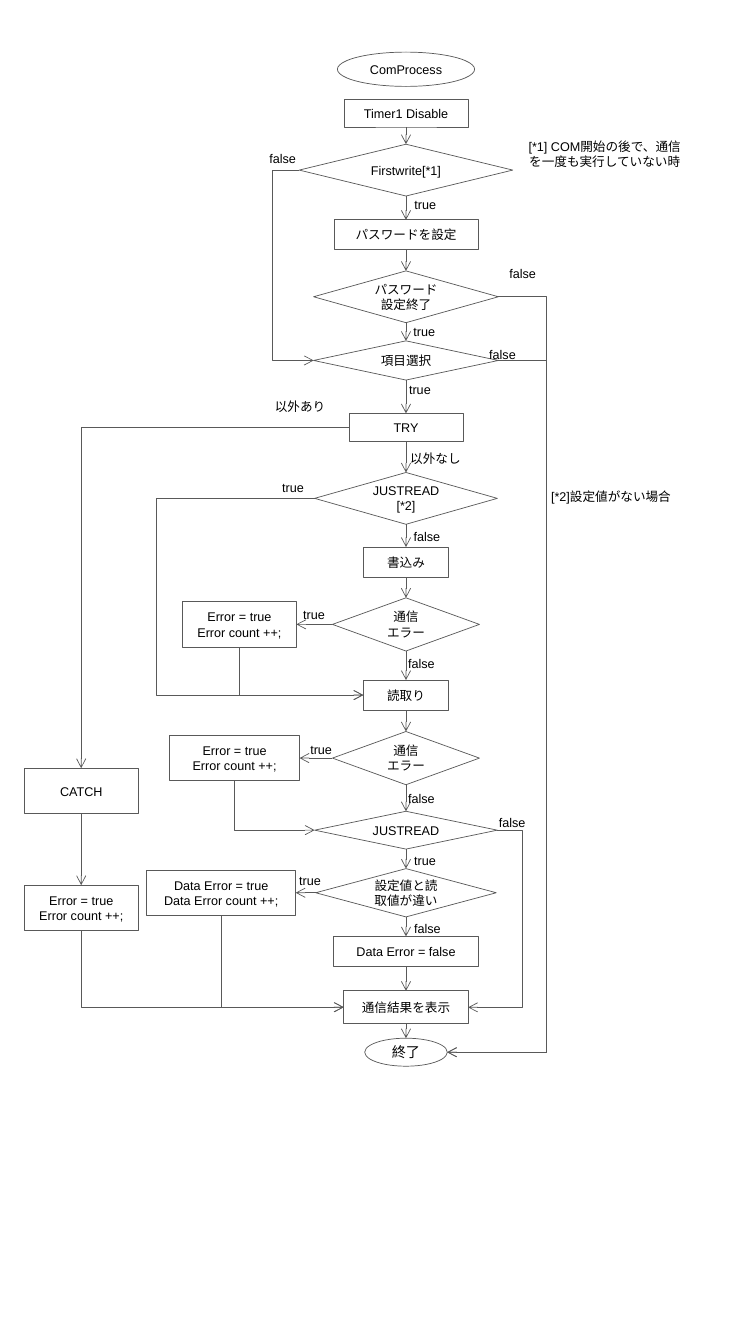
"""Builds the ComProcess flowchart slide."""
from lxml import etree
from pptx import Presentation
from pptx.dml.color import RGBColor
from pptx.enum.shapes import MSO_CONNECTOR, MSO_SHAPE
from pptx.enum.text import MSO_ANCHOR, PP_ALIGN
from pptx.oxml.ns import qn
from pptx.util import Pt

OVAL = MSO_SHAPE.OVAL
BOX = MSO_SHAPE.RECTANGLE
DECISION = MSO_SHAPE.FLOWCHART_DECISION
STRAIGHT = MSO_CONNECTOR.STRAIGHT
ELBOW = MSO_CONNECTOR.ELBOW
CENTER = PP_ALIGN.CENTER
MIDDLE = MSO_ANCHOR.MIDDLE
TOP, LEFT, BOTTOM, RIGHT = range(4)
OVAL_RIGHT = 6

GRAY = RGBColor(0x59, 0x59, 0x59)
BLACK = RGBColor(0, 0, 0)
MAIN_X = 290
CATCH_X = 58
LABEL_HEIGHT = 18
COUNT_ERROR = "Error = true\nError count ++;"

# name: text, outline, middle y, width, height
MAIN_STEPS = {
    "start": ("ComProcess", OVAL, 49.5, 98, 24.5),
    "timer": ("Timer1 Disable", BOX, 81, 88.5, 19.5),
    "first write": ("Firstwrite[*1]", DECISION, 121.5, 152.5, 37),
    "set password": ("パスワードを設定", BOX, 167.8, 103, 21.5),
    "password set": ("パスワード設定終了", DECISION, 212, 132, 37),
    "select item": ("項目選択", DECISION, 257.5, 132, 28),
    "try": ("TRY", BOX, 305.3, 81.5, 20),
    "just read": ("JUSTREAD [*2]", DECISION, 356, 130.5, 37),
    "write": ("書込み", BOX, 401.5, 61, 21.5),
    "write error": ("通信\vエラー", DECISION, 446, 105, 38),
    "read": ("読取り", BOX, 496.5, 61, 21.5),
    "read error": ("通信\vエラー", DECISION, 541.5, 105, 38),
    "only read": ("JUSTREAD", DECISION, 593, 130.5, 27),
    "mismatch": ("設定値と読取値が違い", DECISION, 637.7, 129, 34.5),
    "no data error": ("Data Error = false", BOX, 679.6, 104, 21.5),
    "show result": ("通信結果を表示", BOX, 719.5, 89, 23.5),
    "end": ("終了", OVAL, 751.6, 59, 20),
}
# name: text, centre x, middle y, width
SIDE_STEPS = {
    "count write error": (COUNT_ERROR, 171, 446, 81.5),
    "count read error": (COUNT_ERROR, 167.5, 541.5, 93),
    "count data error": ("Data Error = true\nData Error count ++;", 158, 637.7, 106.5),
    "catch": ("CATCH", CATCH_X, 565, 81.5),
    "count catch": (COUNT_ERROR, CATCH_X, 648.5, 81.5),
}
SIDE_HEIGHT = 32.5
BRANCHES = [
    ("write error", "count write error"),
    ("read error", "count read error"),
    ("mismatch", "count data error"),
]
RETURNS = [
    ("count write error", "read"),
    ("count read error", "only read"),
    ("count data error", "show result"),
    ("count catch", "show result"),
]
# source, target, side, x of the vertical run
DETOURS = [
    ("first write", "select item", LEFT, 194.5),
    ("just read", "read", LEFT, 111.6),
    ("password set", "end", RIGHT, 390.5),
    ("select item", "end", RIGHT, 390.5),
    ("only read", "show result", RIGHT, 373),
]
# text: width, then left and top of each place
LABELS = [
    ("true", 36, [(285.8, 136.8), (285.1, 227.5)]),
    ("true", 32.5, [(283.7, 269.3), (193, 339.1), (208.1, 429.8), (213.1, 526.3),
                    (287.3, 605.5), (205.2, 619.9)]),
    ("false", 39, [(281.5, 465.1), (281.5, 561.6), (285.8, 654.5), (346.3, 578.2)]),
    ("false", 51, [(176.4, 104.4), (333.4, 244.1), (347.8, 186.5), (279.4, 374.4)]),
    ("以外なし", 53.3, [(284.4, 318.2)]),
    ("以外あり", 51.5, [(188.6, 281.5)]),
    ("[*1] COM開始の後で、通信\vを一度も実行していない時", 177, [(343.4, 95.8)]),
    ("[*2]設定値がない場合", 109.5, [(381.6, 345.6)]),
]


def write(shape, text, font="Arial", size=9):
    """Put centred black text in a shape."""
    frame = shape.text_frame
    frame.word_wrap = True
    frame.text = text
    for paragraph in frame.paragraphs:
        paragraph.alignment = CENTER
        paragraph.font.name = font
        paragraph.font.size = Pt(size)
        paragraph.font.color.rgb = BLACK


def add_step(slide, text, outline, x, y, width, height):
    """Add an outlined step centred on x and y."""
    step = slide.shapes.add_shape(outline, Pt(x - width / 2), Pt(y - height / 2),
                                  Pt(width), Pt(height))
    step.shadow.inherit = False
    step.fill.background()
    step.line.color.rgb = GRAY
    step.line.width = Pt(0.5)
    step.text_frame.vertical_anchor = MIDDLE
    write(step, text)
    return step


def link(slide, kind, source, source_side, target, target_side, arrow="a:tailEnd"):
    """Join two steps with a thin arrow."""
    connector = slide.shapes.add_connector(kind, 0, 0, 0, 0)
    connector.begin_connect(source, source_side)
    connector.end_connect(target, target_side)
    connector.line.color.rgb = GRAY
    connector.line.width = Pt(0.5)
    properties = connector._element.spPr
    etree.SubElement(properties.find(qn("a:ln")), qn(arrow), type="arrow")
    etree.SubElement(properties, qn("a:effectLst"))
    return connector


def link_corner(slide, *ends):
    """Join two steps with one bend, leaving the first horizontally."""
    connector = link(slide, ELBOW, *ends)
    connector._element.spPr.find(qn("a:prstGeom")).set("prst", "bentConnector2")


def link_detour(slide, source, target, side, run_x):
    """Join two steps through a vertical run at run_x."""
    connector = link(slide, ELBOW, source, side, target, side)
    bend = (Pt(run_x) - connector.begin_x) / (connector.end_x - connector.begin_x)
    guides = connector._element.spPr.find(qn("a:prstGeom")).get_or_add_avLst()
    etree.SubElement(guides, qn("a:gd"), name="adj1", fmla=f"val {round(bend * 100000)}")
    if target.auto_shape_type == OVAL:
        for joint in connector._element.iter(qn("a:endCxn")):
            joint.set("idx", str(OVAL_RIGHT))


def main():
    """Draw the steps, arrows and labels."""
    deck = Presentation()
    deck.slide_width, deck.slide_height = Pt(540), Pt(960)
    slide = deck.slides.add_slide(deck.slide_layouts[6])

    steps = {}
    for name, (text, outline, y, width, height) in MAIN_STEPS.items():
        steps[name] = add_step(slide, text, outline, MAIN_X, y, width, height)
    for name, (text, x, y, width) in SIDE_STEPS.items():
        steps[name] = add_step(slide, text, BOX, x, y, width, SIDE_HEIGHT)
    write(steps["end"], "終了", "Calibri", 10.1)

    flow = list(MAIN_STEPS)[1:]
    for source, target in [*zip(flow, flow[1:]), ("catch", "count catch")]:
        link(slide, STRAIGHT, steps[source], BOTTOM, steps[target], TOP)
    for source, target in BRANCHES:
        link(slide, STRAIGHT, steps[source], LEFT, steps[target], RIGHT)
    link_corner(slide, steps["try"], LEFT, steps["catch"], TOP)
    for source, target in RETURNS:
        link_corner(slide, steps[target], LEFT, steps[source], BOTTOM, "a:headEnd")
    for source, target, side, run_x in DETOURS:
        link_detour(slide, steps[source], steps[target], side, run_x)

    for text, width, places in LABELS:
        height = LABEL_HEIGHT + 10.8 * text.count("\v")
        for left, top in places:
            write(slide.shapes.add_textbox(Pt(left), Pt(top), Pt(width), Pt(height)), text)

    deck.save("out.pptx")


if __name__ == "__main__":
    main()
